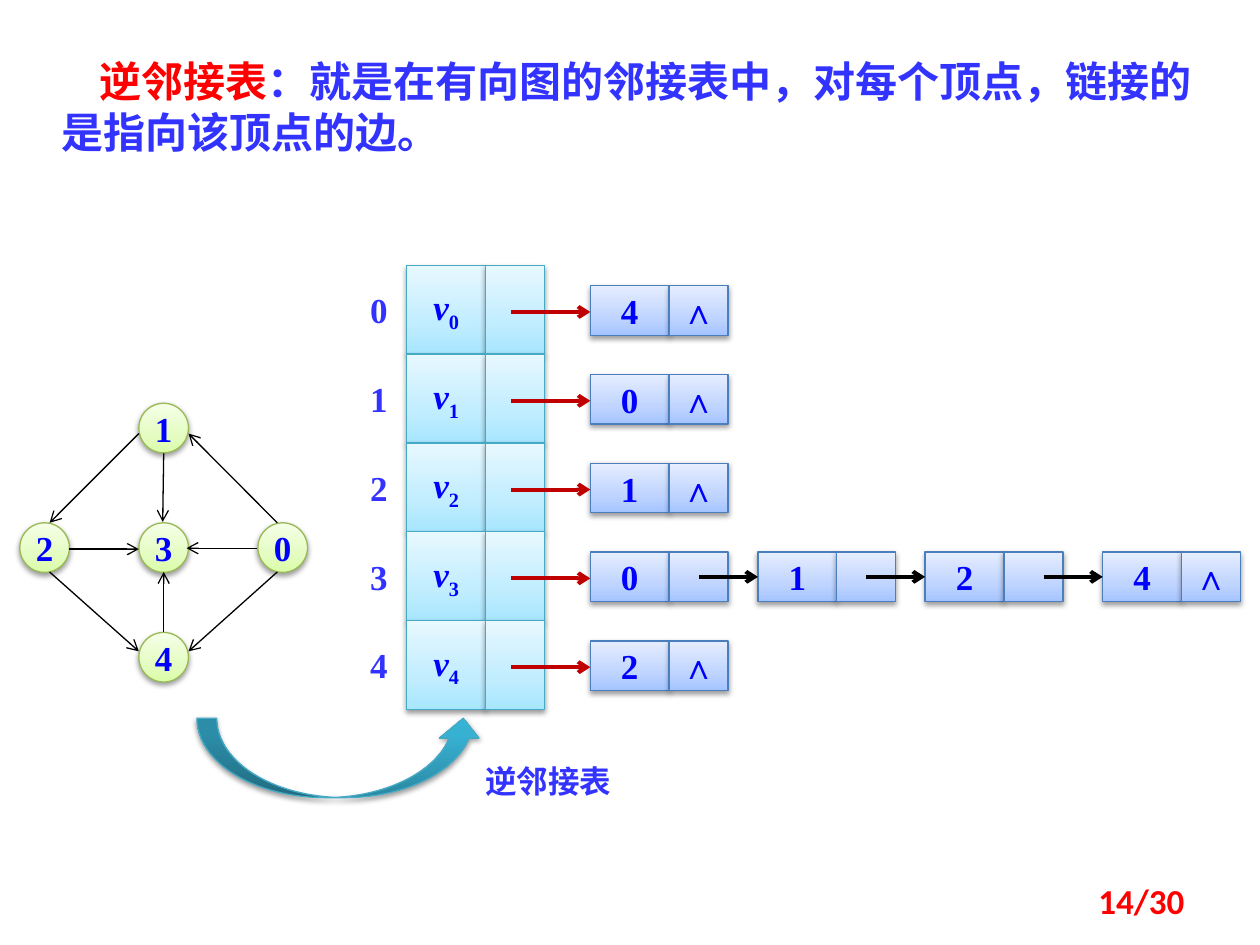
from lxml import etree
from pptx import Presentation
from pptx.dml.color import RGBColor
from pptx.enum.shapes import MSO_CONNECTOR, MSO_SHAPE
from pptx.enum.text import MSO_ANCHOR, MSO_AUTO_SIZE, PP_ALIGN
from pptx.oxml.ns import qn
from pptx.util import Cm, Pt

OVAL, BOX, CURVED_ARROW = MSO_SHAPE.OVAL, MSO_SHAPE.RECTANGLE, MSO_SHAPE.CURVED_UP_ARROW
STRAIGHT = MSO_CONNECTOR.STRAIGHT
LEFT, CENTER, RIGHT = PP_ALIGN.LEFT, PP_ALIGN.CENTER, PP_ALIGN.RIGHT
TOP, MIDDLE = MSO_ANCHOR.TOP, MSO_ANCHOR.MIDDLE

BLACK = RGBColor(0x00, 0x00, 0x00)
RED = RGBColor(0xFF, 0x00, 0x00)
DARK_RED = RGBColor(0xC0, 0x00, 0x00)
BLUE = RGBColor(0x00, 0x00, 0xFF)
SOFT_BLUE = RGBColor(0x33, 0x33, 0xFF)
GREEN_EDGE = RGBColor(0x98, 0xB9, 0x55)
BLUE_EDGE = RGBColor(0x4B, 0x7E, 0xBC)
CYAN_EDGE = RGBColor(0x46, 0xAA, 0xC5)

# Outline colour, then gradient stops as (percent, colour)
GREEN = (GREEN_EDGE, [(0, "DAFDA7"), (35, "E4FCC2"), (100, "F5FFE7")])
NODE_BLUE = (BLUE_EDGE, [(0, "A4C4FF"), (35, "BFD4FF"), (100, "E6EEFF")])
CYAN = (CYAN_EDGE, [(0, "A7E6FF"), (35, "C1EDFF"), (100, "E7F8FF")])
TEAL = (CYAN_EDGE, [(0, "2A88A2"), (80, "37B1D2"), (100, "34B4D6")])

SERIF, CHINESE = "Times New Roman", "Noto Sans CJK SC"
LABEL = {"name": SERIF, "size": Pt(20), "bold": True}
NODE_TEXT = {**LABEL, "color": BLUE}
INDEX_TEXT = {**LABEL, "color": SOFT_BLUE}
TITLE = {"name": CHINESE, "size": Pt(24), "bold": True, "color": SOFT_BLUE}
CAPTION = {**TITLE, "size": Pt(18)}
PAGE_NUMBER = {"name": "Calibri", "size": Pt(20), "bold": True, "color": RED}

# All positions below are in centimetres
VERTICES = {"1": (2.8, 8.13), "3": (2.8, 10.54), "2": (0.4, 10.54),
            "0": (5.2, 10.54), "4": (2.8, 12.75)}
EDGES = [
    ((2.8, 8.74), (1.0, 10.54)),
    ((5.59, 10.54), (3.8, 8.74)),
    ((1.4, 11.07), (2.8, 11.07)),
    ((5.18, 11.05), (3.76, 11.05)),
    ((3.3, 9.14), (3.28, 10.52)),
    ((1.0, 11.53), (2.8, 13.13)),
    ((3.3, 12.75), (3.3, 11.53)),
    ((5.59, 11.53), (3.8, 13.13)),
]
ADJACENCY = [["4"], ["0"], ["1"], ["0", "1", "2", "4"], ["2"]]
NODE_LEFTS = [11.9, 15.28, 18.65, 22.23]
END_MARK = "∧"
DATA_WIDTH, LINK_WIDTH, NODE_HEIGHT = 1.59, 1.19, 1.0
TABLE_LEFT, TABLE_TOP, ROW_HEIGHT = 8.2, 5.35, 1.79


def write(shape, runs, align=CENTER, anchor=MIDDLE, wrap=False):
    """Write runs of (text, format) into one paragraph and return it."""
    frame = shape.text_frame
    frame.word_wrap = wrap
    frame.vertical_anchor = anchor
    paragraph = frame.paragraphs[0]
    paragraph.alignment = align
    for text, style in runs:
        run = paragraph.add_run()
        run.text = text
        for key, value in style.items():
            if key == "color":
                run.font.color.rgb = value
            elif key == "baseline":
                run.font._element.set("baseline", value)
            else:
                setattr(run.font, key, value)
        if style["name"] == CHINESE:
            etree.SubElement(run.font._element, qn("a:ea"), typeface=CHINESE)
    return paragraph


def add_block(slide, kind, box, look, runs=()):
    """Add a preset shape with a vertical gradient and a soft shadow."""
    shape = slide.shapes.add_shape(kind, *map(Cm, box))
    edge, stops = look
    shape.line.color.rgb = edge
    shape.line.width = Pt(0.75)
    shape.fill.gradient()
    shape.fill.gradient_angle = 90
    properties = shape._element.spPr
    stop_list = properties.find(f"{qn('a:gradFill')}/{qn('a:gsLst')}")
    stop_list.clear()
    for percent, color in stops:
        stop = etree.SubElement(stop_list, qn("a:gs"), pos=str(percent * 1000))
        etree.SubElement(stop, qn("a:srgbClr"), val=color)
    shape.shadow.inherit = False
    shadow = etree.SubElement(
        properties.find(qn("a:effectLst")), qn("a:outerShdw"),
        blurRad=str(Pt(3.1)), dist=str(Pt(1.6)), dir="5400000", rotWithShape="0")
    shadow_color = etree.SubElement(shadow, qn("a:srgbClr"), val="000000")
    etree.SubElement(shadow_color, qn("a:alpha"), val="38000")
    if runs:
        write(shape, runs)
    return shape


def add_arrow(slide, start, end, color, width):
    """Add a straight line with an open arrowhead at its end."""
    arrow = slide.shapes.add_connector(STRAIGHT, *map(Cm, start + end))
    arrow.line.color.rgb = color
    arrow.line.width = Pt(width)
    etree.SubElement(arrow.line._get_or_add_ln(), qn("a:tailEnd"), type="arrow")
    etree.SubElement(arrow._element.spPr, qn("a:effectLst"))


def add_text(slide, box, runs, align=LEFT, anchor=TOP, margin=None):
    """Add a wrapping text box and return its paragraph."""
    shape = slide.shapes.add_textbox(*map(Cm, box))
    frame = shape.text_frame
    frame.auto_size = MSO_AUTO_SIZE.NONE
    if margin is not None:
        for side in ("left", "top", "right", "bottom"):
            setattr(frame, f"margin_{side}", margin)
    return write(shape, runs, align, anchor, wrap=True)


def add_graph(slide):
    """Draw the directed graph."""
    for name, (left, top) in VERTICES.items():
        add_block(slide, OVAL, (left, top, 1, 1), GREEN, [(name, NODE_TEXT)])
    for start, end in EDGES:
        add_arrow(slide, start, end, BLACK, 0.75)


def add_chain(slide, names, top):
    """Draw one linked list, joining each node to the next."""
    for position, name in enumerate(names):
        left = NODE_LEFTS[position]
        is_last = position == len(names) - 1
        add_block(slide, BOX, (left, top, DATA_WIDTH, NODE_HEIGHT), NODE_BLUE,
                  [(name, NODE_TEXT)])
        add_block(slide, BOX, (left + DATA_WIDTH, top, LINK_WIDTH, NODE_HEIGHT),
                  NODE_BLUE, [(END_MARK, NODE_TEXT)] if is_last else ())
    middle = top + NODE_HEIGHT / 2
    for left in NODE_LEFTS[1:len(names)]:
        add_arrow(slide, (left - LINK_WIDTH, middle), (left, middle), BLACK, 2.25)


def add_row(slide, index, names):
    """Draw one head cell with its index, pointer and linked list."""
    top = TABLE_TOP + index * ROW_HEIGHT
    link_left = TABLE_LEFT + DATA_WIDTH
    add_chain(slide, names, top + 0.41)
    add_block(slide, BOX, (TABLE_LEFT, top, DATA_WIDTH, ROW_HEIGHT), CYAN,
              [("v", {**NODE_TEXT, "italic": True}),
               (str(index), {**NODE_TEXT, "baseline": "-25000"})])
    add_block(slide, BOX, (link_left, top, LINK_WIDTH, ROW_HEIGHT), CYAN)
    add_text(slide, (7.14, top + 0.47, 1, 0.87), [(str(index), INDEX_TEXT)],
             CENTER, margin=0)
    add_arrow(slide, (10.31, top + 0.94), (NODE_LEFTS[0], top + 0.94), DARK_RED, 2.25)


def main():
    """Build and save the slide."""
    presentation = Presentation()
    presentation.slide_width, presentation.slide_height = Cm(25.4), Cm(19.05)
    slide = presentation.slides.add_slide(presentation.slide_layouts[6])
    add_graph(slide)
    title = add_text(slide, (1, 1, 23.82, 2.31), [
        ("逆邻接表", {**TITLE, "color": RED}),
        ("：就是在有向图的邻接表中，对每个顶点，链接的是指向该顶点的边。", TITLE)])
    title._p.get_or_add_pPr().set("indent", str(Cm(0.76)))
    for index, names in enumerate(ADJACENCY):
        add_row(slide, index, names)
    add_block(slide, CURVED_ARROW, (3.97, 14.48, 5.77, 1.6), TEAL)
    add_text(slide, (9.53, 15.24, 3.76, 1.02), [("逆邻接表", CAPTION)])
    add_text(slide, (18.2, 17.65, 5.93, 1.02), [("14/30", PAGE_NUMBER)], RIGHT, MIDDLE)
    presentation.save("out.pptx")


main()
